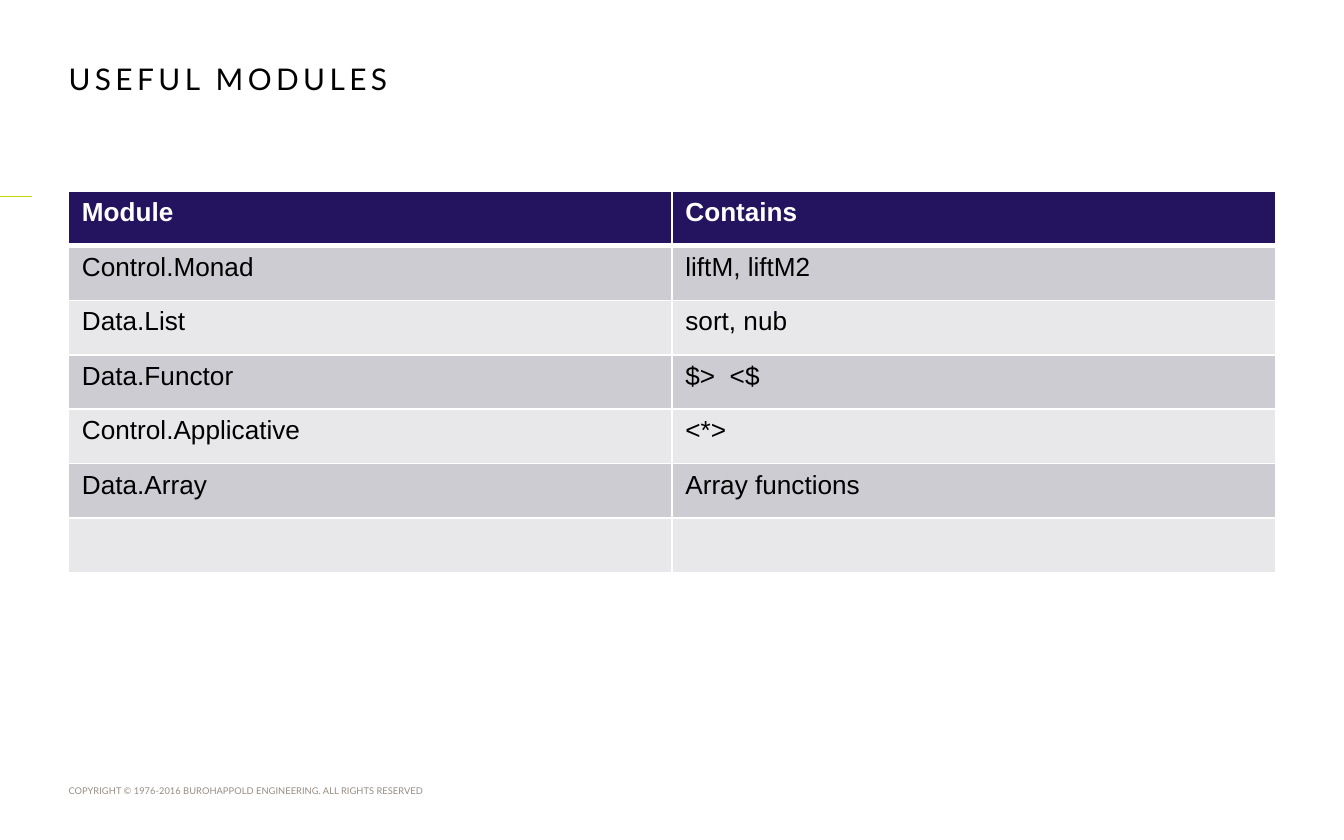
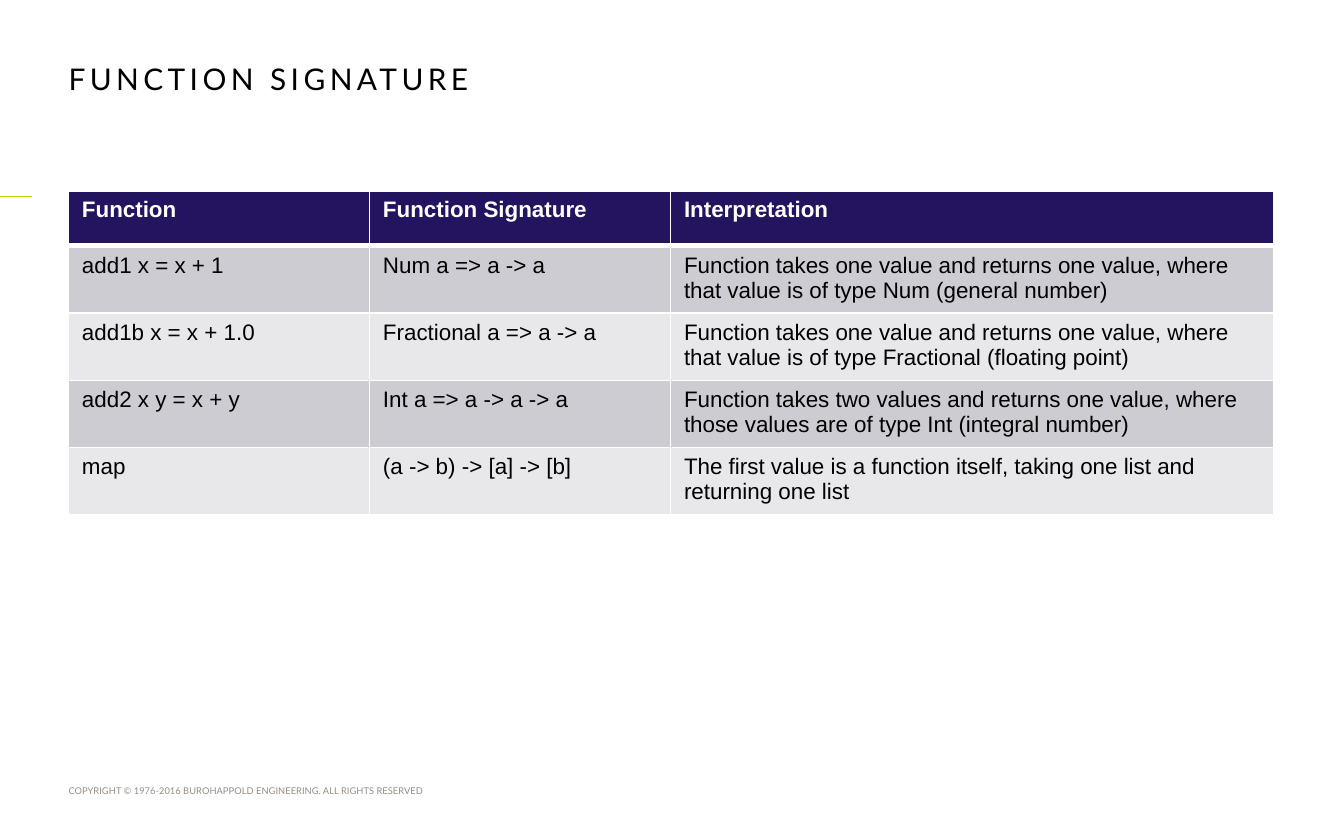
"""Build two slides of reference tables on Haskell modules and signatures."""
from lxml.etree import SubElement as Sub
from pptx import Presentation
from pptx.dml.color import RGBColor as RGB
from pptx.enum.shapes import MSO_CONNECTOR as Link
from pptx.oxml.ns import qn
from pptx.util import Inches, Pt

NOTE = "COPYRIGHT © 1976-2016 BUROHAPPOLD ENGINEERING. ALL RIGHTS RESERVED"
SLIDES = [
    {
        "title": "USEFUL MODULES",
        "size": 14,
        "cols": [4.49, 4.49],
        "head": 0.41,
        "body": 0.405,
        "rows": [
            ("Module", "Contains"),
            ("Control.Monad", "liftM, liftM2"),
            ("Data.List", "sort, nub"),
            ("Data.Functor", "$>  <$"),
            ("Control.Applicative", "<*>"),
            ("Data.Array", "Array functions"),
            ("", ""),
        ],
    },
    {
        "title": "FUNCTION SIGNATURE",
        "size": 12,
        "cols": [2.24, 2.24, 4.49],
        "head": 0.41,
        "body": 0.5,
        "rows": [
            ("Function", "Function Signature", "Interpretation"),
            ("add1 x = x + 1", "Num a => a -> a",
             "Function takes one value and returns one value, where that value "
             "is of type Num (general number)"),
            ("add1b x = x + 1.0", "Fractional a => a -> a",
             "Function takes one value and returns one value, where that value "
             "is of type Fractional (floating point)"),
            ("add2 x y = x + y", "Int a => a -> a -> a",
             "Function takes two values and returns one value, where those "
             "values are of type Int (integral number)"),
            ("map", "(a -> b) -> [a] -> [b]",
             "The first value is a function itself, taking one list and "
             "returning one list"),
        ],
    },
]
WHITE, BLACK, NAVY, LIME, TAUPE = "FFFFFF", "000000", "24135F", "C4D600", "968C83"
BANDS = ["CDCCD2", "E8E7EA"]
LEFT = 0.51
TITLE = {"name": "Lato", "size": Pt(16)}
FOOT = {"name": "Lato", "size": Pt(5)}


def paint(part, tint):
    part.fill.solid()
    part.fill.fore_color.rgb = RGB.from_string(tint)


def style(font, tint, form):
    font.color.rgb = RGB.from_string(tint)
    for key, value in form.items():
        setattr(font, key, value)


def label(slide, text, box, tint, form):
    frame = slide.shapes.add_textbox(*map(Inches, box)).text_frame
    frame.word_wrap = True
    for side in ("left", "top", "right", "bottom"):
        setattr(frame, f"margin_{side}", 0)
    run = frame.paragraphs[0].add_run()
    run.text = text
    style(run.font, tint, form)
    return run


def edge(cell, widths):
    props = cell._tc.get_or_add_tcPr()
    for side, width in widths.items():
        line = Sub(props, qn(f"a:ln{side}"), w=str(Pt(width)))
        Sub(Sub(line, qn("a:solidFill")), qn("a:srgbClr"), val=WHITE)


def frame(slide, title):
    label(slide, NOTE, (LEFT, 5.84, 3.15, 0.08), TAUPE, FOOT)
    ends = map(Inches, (0, 1.46, 0.24, 1.46))
    rule = slide.shapes.add_connector(Link.STRAIGHT, *ends)
    rule.line.color.rgb = RGB.from_string(LIME)
    rule.line.width = Pt(0.5)
    Sub(rule._element.spPr, qn("a:effectLst"))
    run = label(slide, title, (LEFT, 0.45, 5.98, 0.27), BLACK, TITLE)
    run.font._element.set("spc", "240")


def grid(slide, page):
    rows, cols = page["rows"], page["cols"]
    tall = page["head"] + page["body"] * (len(rows) - 1)
    box = map(Inches, (LEFT, 1.42, sum(cols), tall))
    table = slide.shapes.add_table(len(rows), len(cols), *box).table
    for col, width in zip(table.columns, cols):
        col.width = Inches(width)
    for i, row in enumerate(rows):
        head = i == 0
        table.rows[i].height = Inches(page["head" if head else "body"])
        fill = NAVY if head else BANDS[(i - 1) % 2]
        widths = {"L": 1, "R": 1, "T": 3 if i == 1 else 1, "B": 3 if head else 1}
        form = {"name": "Arial", "size": Pt(page["size"]), "bold": head}
        for j, text in enumerate(row):
            cell = table.cell(i, j)
            edge(cell, widths)
            paint(cell, fill)
            para = cell.text_frame.paragraphs[0]
            font = para.font
            if text:
                run = para.add_run()
                run.text = text
                font = run.font
            style(font, WHITE if head else BLACK, form)


def main():
    deck = Presentation()
    deck.slide_width, deck.slide_height = Inches(10), Inches(6.25)
    for page in SLIDES:
        slide = deck.slides.add_slide(deck.slide_layouts[6])
        paint(slide.background, WHITE)
        frame(slide, page["title"])
        grid(slide, page)
    deck.save("out.pptx")


if __name__ == "__main__":
    main()
